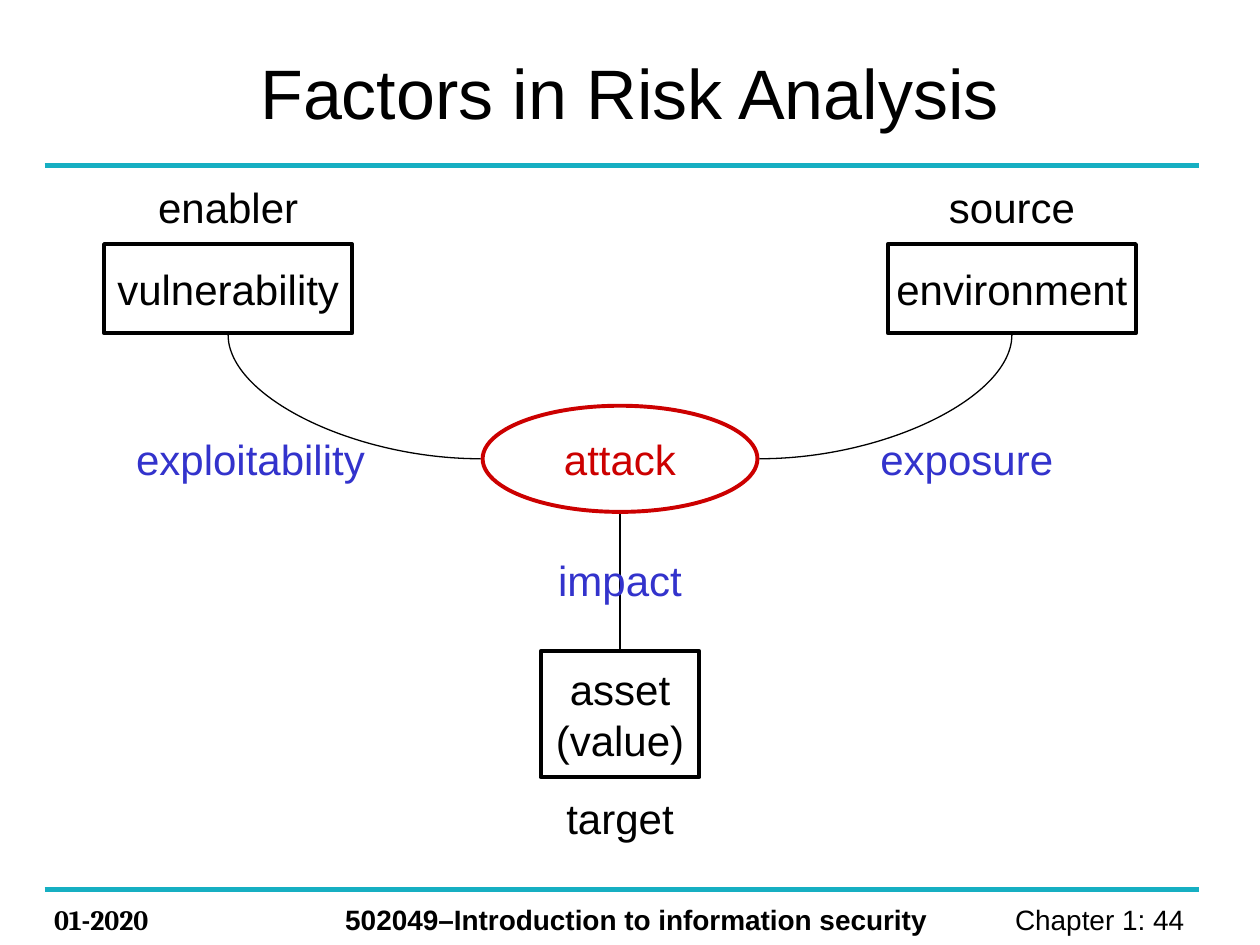
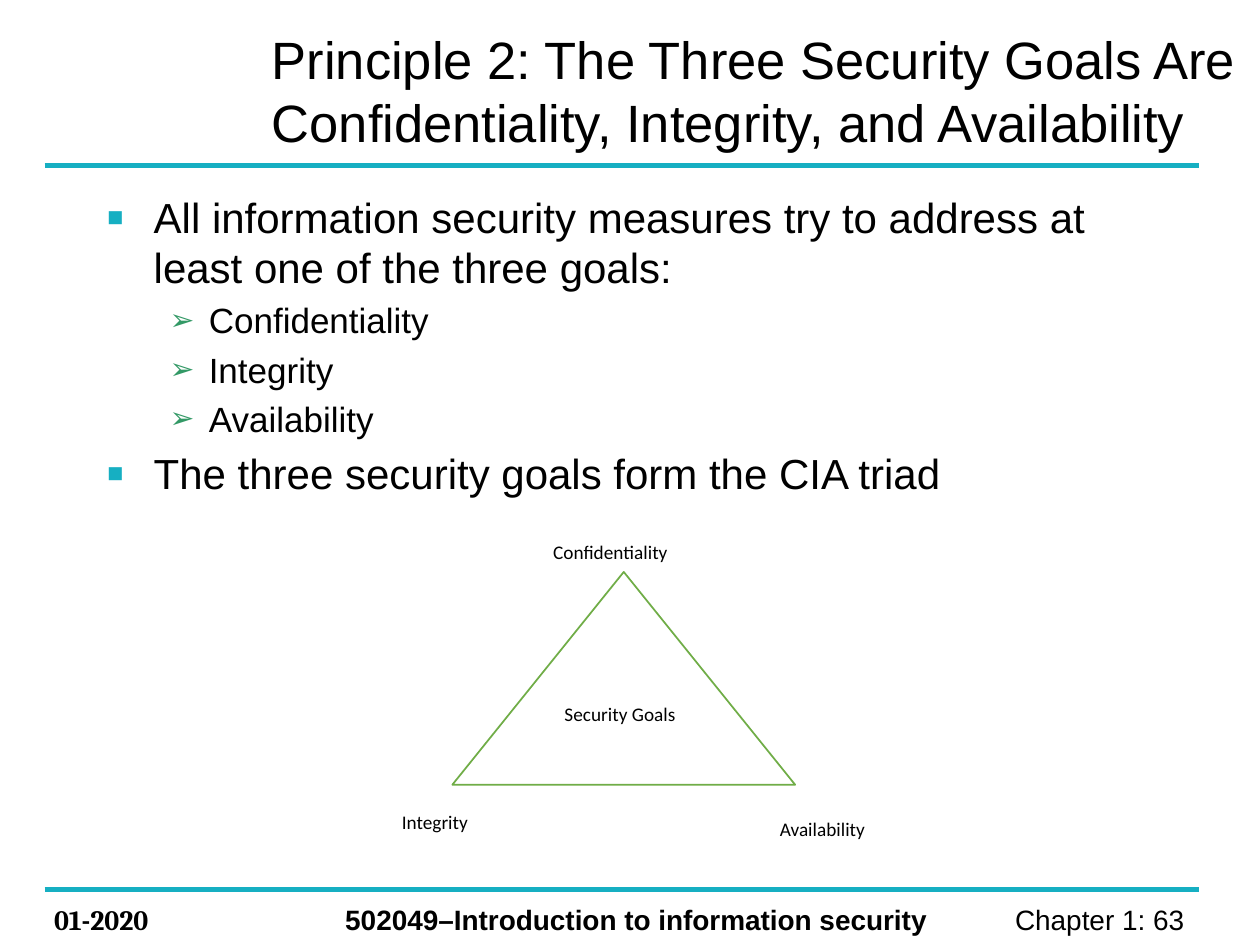
from lxml import etree
from pptx import Presentation, util as u
from pptx.dml.color import RGBColor
from pptx.enum import shapes, text
from pptx.oxml import ns

BLACK = RGBColor(0x00, 0x00, 0x00)
WHITE = RGBColor(0xFF, 0xFF, 0xFF)
TEAL = RGBColor(0x16, 0xAF, 0xC2)
RED = RGBColor(0xCC, 0x00, 0x00)
BLUE = RGBColor(0x33, 0x33, 0xCC)
GREEN = RGBColor(0x70, 0xAD, 0x47)
SHAPE, LINE, ALIGN = shapes.MSO_SHAPE, shapes.MSO_CONNECTOR, text.PP_ALIGN
MIDDLE = text.MSO_ANCHOR.MIDDLE


def write(shape, lines, size, color=BLACK, font="Arial", bold=False,
          align=ALIGN.LEFT, wrap=True, anchor=text.MSO_ANCHOR.TOP):
    """Put lines of text into a shape and return its paragraphs."""
    frame = shape.text_frame
    frame.word_wrap = wrap
    frame.vertical_anchor = anchor
    for number, line in enumerate(lines):
        para = frame.add_paragraph() if number else frame.paragraphs[0]
        para.alignment = align
        span = para.add_run()
        span.text = line
        span.font.name = font
        span.font.size = u.Pt(size)
        span.font.bold = bold
        span.font.color.rgb = color
    return frame.paragraphs


def connect(page, kind, x1, y1, x2, y2, color, width):
    """Draw a line without a shadow between two points in centimetres."""
    line = page.shapes.add_connector(kind, u.Cm(x1), u.Cm(y1), u.Cm(x2), u.Cm(y2))
    line.line.color.rgb = color
    line.line.width = u.Pt(width)
    etree.SubElement(line._element.spPr, ns.qn("a:effectLst"))
    return line


deck = Presentation()
deck.slide_width, deck.slide_height = u.Cm(25.4), u.Cm(19.05)

# Shared frame: title, two rules and the footer
pages = []
for title, top, height, size, anchor, number in (
        ("Factors in Risk Analysis", 0.74, 2.21, 40, MIDDLE, 44),
        ("Principle 2: The Three Security Goals Are Confidentiality, "
         "Integrity, and Availability", 0.43, 3.18, 30, text.MSO_ANCHOR.TOP, 63)):
    page = deck.slides.add_slide(deck.slide_layouts[6])
    pages.append(page)
    for y in (3.33, 17.93):
        connect(page, LINE.STRAIGHT, 0.9, y, 24.18, y, TEAL, 3)
    left = 5.0 if anchor == MIDDLE else 5.23
    box = page.shapes.add_textbox(u.Cm(left), u.Cm(top), u.Cm(25.4 - left), u.Cm(height))
    write(box, [title], size, anchor=anchor)
    for words, left, width, font, bold, align in (
            ("01-2020", 0.84, 3.38, "Cambria", True, ALIGN.LEFT),
            ("502049–Introduction to information security", 6.71, 12.8,
             "Arial", True, ALIGN.LEFT),
            (f"Chapter 1: {number} ", 18.69, 5.59, "Arial", False, ALIGN.RIGHT)):
        box = page.shapes.add_textbox(u.Cm(left), u.Cm(18.07), u.Cm(width), u.Cm(0.94))
        write(box, [words], 16, font=font, bold=bold, align=align)

risk_page, goals_page = pages

# Risk factors: three columns of nodes, each centred on its column
LEFT_X, MIDDLE_X, RIGHT_X = 4.6, 12.5, 20.4
for kind, lines, center, top, width, height, color in (
        (SHAPE.OVAL, ["attack"], MIDDLE_X, 8.18, 5.54, 2.14, RED),
        (SHAPE.RECTANGLE, ["asset", "(value)"], MIDDLE_X, 13.13, 3.2, 2.54, BLACK),
        (SHAPE.RECTANGLE, ["vulnerability"], LEFT_X, 4.92, 5, 1.8, BLACK),
        (SHAPE.RECTANGLE, ["environment"], RIGHT_X, 4.92, 5, 1.8, BLACK)):
    node = risk_page.shapes.add_shape(kind, u.Cm(center - width / 2), u.Cm(top),
                                      u.Cm(width), u.Cm(height))
    node.shadow.inherit = False
    node.fill.background()
    node.line.color.rgb = color
    node.line.width = u.Pt(2.25)
    write(node, lines, 24, color, align=ALIGN.CENTER, wrap=False, anchor=MIDDLE)

# Links from the attack to the three factors
for side, column in ((-1, LEFT_X), (1, RIGHT_X)):
    curve = connect(risk_page, LINE.CURVE, MIDDLE_X + side * 2.81, 9.25,
                    column, 6.75, BLACK, 0.75)
    curve._element.spPr.find(ns.qn("a:prstGeom")).set("prst", "curvedConnector2")
connect(risk_page, LINE.STRAIGHT, MIDDLE_X, 10.36, MIDDLE_X, 13.08, BLACK, 0.75)

# Roles of the nodes and names of the links
for words, center, top, width, color in (
        ("enabler", LEFT_X, 3.54, 3.35, BLACK),
        ("source", RIGHT_X, 3.54, 3.05, BLACK),
        ("target", MIDDLE_X, 15.86, 2.67, BLACK),
        ("exploitability", 5.05, 8.62, 5.13, BLUE),
        ("exposure", 19.49, 8.62, 3.99, BLUE),
        ("impact", MIDDLE_X, 11.06, 3, BLUE)):
    label = risk_page.shapes.add_textbox(u.Cm(center - width / 2), u.Cm(top),
                                         u.Cm(width), u.Cm(1.27))
    write(label, [words], 24, color, align=ALIGN.CENTER, wrap=False)

# Security goals: bulleted list, as left margin, hang, size and bullet by level
LEVELS = (
    (0.95, 0.95, 24, "▪", "16AFC2", 125000),
    (2.06, 0.79, 20, "➢", "339966", 85000),
)
body = goals_page.shapes.add_textbox(u.Cm(1.9), u.Cm(3.73), u.Cm(21.6), u.Cm(13.8))
paras = write(body, [
    "All information security measures try to address at least one of the three goals:",
    "Confidentiality", "Integrity", "Availability",
    "The three security goals form the CIA triad"], 24)
for para, level in zip(paras, (0, 1, 1, 1, 0)):
    margin, hang, size, mark, color, scale = LEVELS[level]
    para.level = level
    para.space_before = u.Pt(size * 0.2)
    para.runs[0].font.size = u.Pt(size)
    props = para._p.get_or_add_pPr()
    props.set("marL", str(u.Cm(margin)))
    props.set("indent", str(-u.Cm(hang)))
    bullet_color = etree.SubElement(props, ns.qn("a:buClr"))
    etree.SubElement(bullet_color, ns.qn("a:srgbClr"), val=color)
    etree.SubElement(props, ns.qn("a:buSzPct"), val=str(scale))
    etree.SubElement(props, ns.qn("a:buFont"), typeface="Arial")
    etree.SubElement(props, ns.qn("a:buChar"), char=mark)

# Security goals: triad with its labels
for kind, words, left, top, width, height in (
        (SHAPE.ISOSCELES_TRIANGLE, None, 9.12, 11.53, 6.91, 4.29),
        (SHAPE.RECTANGLE, "Security Goals", 11.13, 14, 3, 0.89),
        (SHAPE.RECTANGLE, "Confidentiality", 10.9, 10.74, 3.66, 0.71),
        (SHAPE.RECTANGLE, "Integrity", 7.85, 16.18, 3.05, 0.84),
        (SHAPE.RECTANGLE, "Availability", 15.47, 16.31, 2.49, 0.69)):
    part = goals_page.shapes.add_shape(kind, u.Cm(left), u.Cm(top),
                                       u.Cm(width), u.Cm(height))
    part.shadow.inherit = False
    part.fill.solid()
    part.fill.fore_color.rgb = WHITE
    if words:
        part.line.fill.background()
        para = write(part, [words], 11, font="Calibri")[0]
        para.line_spacing = 1.07
        para.space_after = u.Pt(8)
    else:
        part.line.color.rgb = GREEN
        part.line.width = u.Pt(1)

deck.save("out.pptx")
